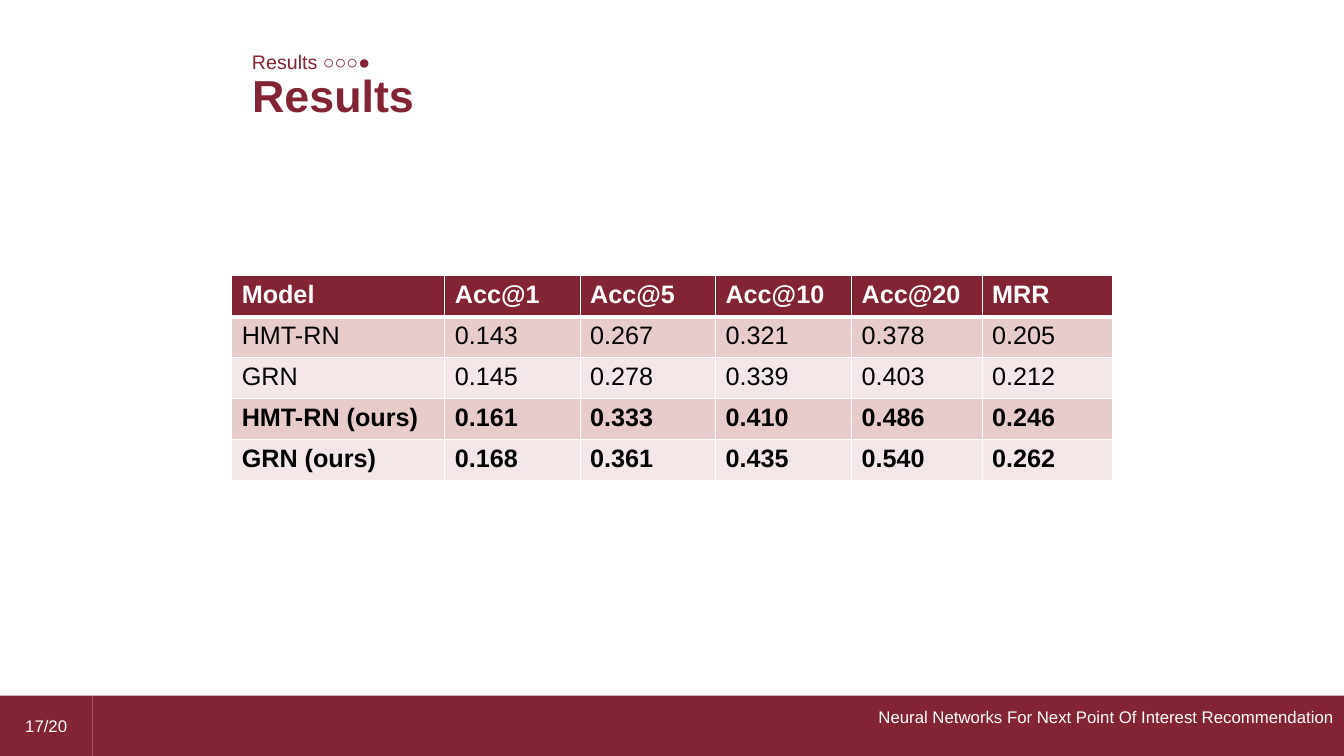
from dataclasses import dataclass

from lxml import etree
from pptx import Presentation
from pptx.dml.color import RGBColor
from pptx.enum import shapes, text
from pptx.oxml import ns
from pptx.util import Cm, Pt


@dataclass(frozen=True)
class Theme:
    font: str = "Arial"
    maroon: RGBColor = RGBColor(0x82, 0x24, 0x33)
    white: RGBColor = RGBColor(0xFF, 0xFF, 0xFF)
    black: RGBColor = RGBColor(0, 0, 0)
    bands: tuple = (RGBColor(0xE8, 0xCC, 0xCC), RGBColor(0xF4, 0xE7, 0xE7))
    title: Pt = Pt(32)
    table: Pt = Pt(18)
    section: Pt = Pt(14)
    footer: Pt = Pt(12)


THEME = Theme()


def write(frame, content, size, color, bold=False, align=text.PP_ALIGN.LEFT):
    frame.text = content
    paragraph = frame.paragraphs[0]
    paragraph.alignment = align
    font = paragraph.runs[0].font
    for key, value in {"name": THEME.font, "size": size, "bold": bold}.items():
        setattr(font, key, value)
    font.color.rgb = color


def add_border(cell, side, points):
    line = etree.SubElement(cell._tc.get_or_add_tcPr(), ns.qn(f"a:ln{side}"), w=str(Pt(points)))
    fill = etree.SubElement(line, ns.qn("a:solidFill"))
    etree.SubElement(fill, ns.qn("a:srgbClr"), val=str(THEME.white))


deck = Presentation()
deck.slide_width, deck.slide_height = Cm(33.87), Cm(19.05)
slide = deck.slides.add_slide(deck.slide_layouts[5])

# Heading
heading = slide.shapes.title
for key, value in {"left": 6.1, "top": 1.57, "width": 25.58, "height": 1.63}.items():
    setattr(heading, key, Cm(value))
heading.text_frame.vertical_anchor = text.MSO_ANCHOR.TOP
write(heading.text_frame, "Results", THEME.title, THEME.maroon, bold=True)

progress = slide.shapes.add_textbox(Cm(6.1), Cm(1.14), Cm(6.15), Cm(0.86))
progress.text_frame.word_wrap = True
write(progress.text_frame, "Results ○○○●", THEME.section, THEME.maroon)

# Accuracy table
scores = [
    ("Model", "Acc@1", "Acc@5", "Acc@10", "Acc@20", "MRR"),
    ("HMT-RN", "0.143", "0.267", "0.321", "0.378", "0.205"),
    ("GRN", "0.145", "0.278", "0.339", "0.403", "0.212"),
    ("HMT-RN (ours)", "0.161", "0.333", "0.410", "0.486", "0.246"),
    ("GRN (ours)", "0.168", "0.361", "0.435", "0.540", "0.262"),
]
column_widths = [5.37, 3.41, 3.41, 3.43, 3.29, 3.29]
results = slide.shapes.add_table(
    len(scores), len(column_widths), Cm(5.84), Cm(6.95), Cm(sum(column_widths)), Cm(5.15)
).table
for column, width in zip(results.columns, column_widths):
    column.width = Cm(width)

for r, values in enumerate(scores):
    results.rows[r].height = Cm(1.03)
    is_header = r == 0
    is_ours = "(ours)" in values[0]
    borders = {"L": 1, "R": 1, "T": 3 if r == 1 else 1, "B": 3 if is_header else 1}
    for c, value in enumerate(values):
        cell = results.cell(r, c)
        for side, points in borders.items():
            add_border(cell, side, points)
        cell.fill.solid()
        cell.fill.fore_color.rgb = THEME.maroon if is_header else THEME.bands[(r - 1) % 2]
        write(cell.text_frame, value, THEME.table,
              THEME.white if is_header else THEME.black, bold=is_header or is_ours)

# Footer: page number, then talk title set a little above the middle
footer_parts = [
    ("17/20", 0, 2.33, text.PP_ALIGN.CENTER, 0.13),
    ("Neural Networks For Next Point Of Interest Recommendation",
     2.33, 31.54, text.PP_ALIGN.RIGHT, 0.6),
]
for content, left, width, align, bottom_inset in footer_parts:
    bar = slide.shapes.add_shape(
        shapes.MSO_SHAPE.RECTANGLE, Cm(left), Cm(17.53), Cm(width), Cm(1.52))
    bar.shadow.inherit = False
    bar.fill.solid()
    bar.fill.fore_color.rgb = THEME.maroon
    bar.line.fill.background()
    bar.text_frame.vertical_anchor = text.MSO_ANCHOR.MIDDLE
    bar.text_frame.margin_bottom = Cm(bottom_inset)
    write(bar.text_frame, content, THEME.footer, THEME.white, align=align)

deck.save("out.pptx")
